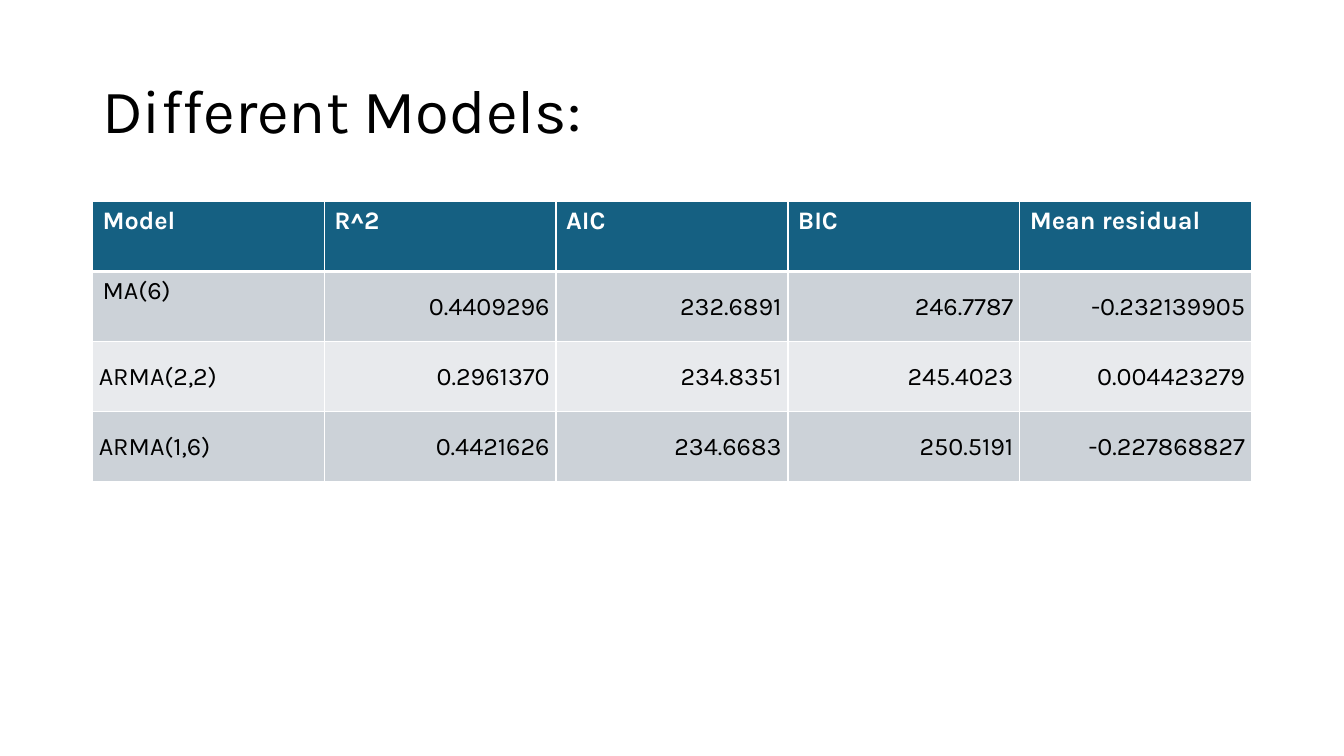
"""Build a slide that compares time series models in a table."""
import dataclasses

import lxml.etree
import pptx
import pptx.dml.color
import pptx.enum.text
import pptx.oxml.ns
import pptx.util

Cm = pptx.util.Cm
Pt = pptx.util.Pt
ALIGN = pptx.enum.text.PP_ALIGN
MIDDLE = pptx.enum.text.MSO_ANCHOR.MIDDLE


@dataclasses.dataclass(frozen=True)
class Theme:
    font: str = "Karla"
    title: int = 44
    body: int = 18
    ink: str = "000000"
    white: str = "FFFFFF"
    head: str = "156082"
    bands: tuple = ("CCD2D8", "E8EAED")


theme = Theme()


def style(para, size, color, bold=False):
    para.font.name = theme.font
    para.font.size = Pt(size)
    para.font.bold = bold
    para.font.color.rgb = pptx.dml.color.RGBColor.from_string(color)


def border(cell, side, width):
    name = pptx.oxml.ns.qn
    props = cell._tc.get_or_add_tcPr()
    line = lxml.etree.SubElement(props, name(f"a:ln{side}"), w=str(Pt(width)))
    fill = lxml.etree.SubElement(line, name("a:solidFill"))
    lxml.etree.SubElement(fill, name("a:srgbClr"), val=theme.white)


deck = pptx.Presentation()
deck.slide_width = Cm(33.87)
deck.slide_height = Cm(19.05)
slide = deck.slides.add_slide(deck.slide_layouts[6])

left, width = Cm(2.33), Cm(29.21)
title = slide.shapes.add_textbox(left, Cm(1.01), width, Cm(3.68)).text_frame
title.word_wrap = True
title.vertical_anchor = MIDDLE
title.text = "Different Models:"
title.paragraphs[0].line_spacing = 0.9
style(title.paragraphs[0], theme.title, theme.ink)

models = [
    ("Model", "R^2", "AIC", "BIC", "Mean residual"),
    ("MA(6)", "0.4409296", "232.6891", "246.7787", "-0.232139905"),
    ("ARMA(2,2)", "0.2961370", "234.8351", "245.4023", "0.004423279"),
    ("ARMA(1,6)", "0.4421626", "234.6683", "250.5191", "-0.227868827"),
]
table = slide.shapes.add_table(
    len(models), len(models[0]), left, Cm(5.08), width, Cm(7.06)
).table

for row, model in enumerate(models):
    header = row == 0
    shade = theme.head if header else theme.bands[(row - 1) % 2]
    for col, text in enumerate(model):
        cell = table.cell(row, col)
        cell.text = text
        para = cell.text_frame.paragraphs[0]
        style(para, theme.body, theme.white if header else theme.ink, header)
        if not header and col > 0:
            para.alignment = ALIGN.RIGHT
        if row > 1 or (row == 1 and col > 0):
            cell.vertical_anchor = MIDDLE
            cell.margin_left = cell.margin_right = Cm(0.16)
            cell.margin_top = cell.margin_bottom = Cm(0.04)
        for side in "LRTB":
            joint = (row, side) in ((0, "B"), (1, "T"))
            border(cell, side, 3 if joint else 1)
        cell.fill.solid()
        cell.fill.fore_color.rgb = pptx.dml.color.RGBColor.from_string(shade)

deck.save("out.pptx")
